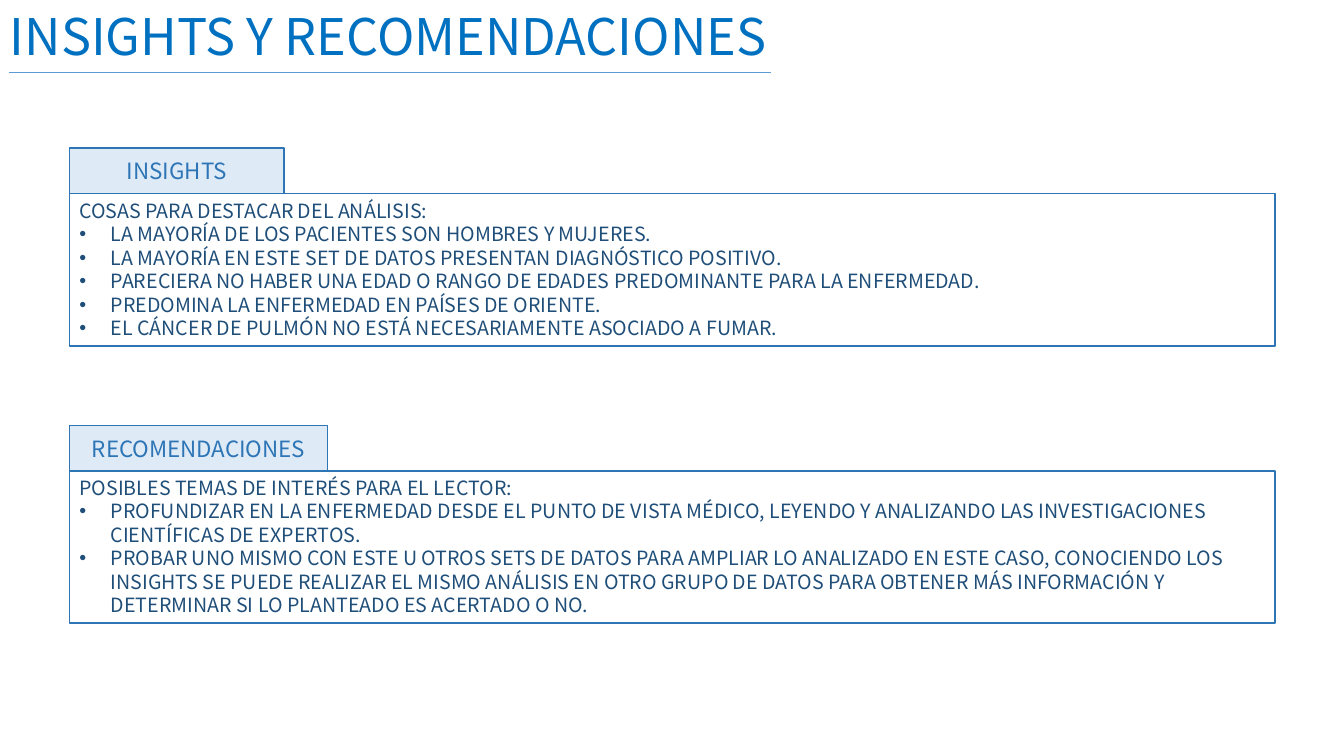
from dataclasses import dataclass

from lxml import etree
from pptx import Presentation
from pptx.dml.color import RGBColor
from pptx.enum.shapes import MSO_CONNECTOR, MSO_SHAPE
from pptx.enum.text import MSO_ANCHOR, MSO_AUTO_SIZE, PP_ALIGN
from pptx.oxml.ns import qn
from pptx.util import Emu, Pt

RECT = MSO_SHAPE.RECTANGLE
STRAIGHT = MSO_CONNECTOR.STRAIGHT
TOP, MIDDLE = MSO_ANCHOR.TOP, MSO_ANCHOR.MIDDLE
LEFT, CENTER = PP_ALIGN.LEFT, PP_ALIGN.CENTER
GROW, FIXED = MSO_AUTO_SIZE.SHAPE_TO_FIT_TEXT, MSO_AUTO_SIZE.NONE

PX_PER_INCH = 100
PANEL_X, PANEL_W, PANEL_H = 69, 1196, 151
TAB_H = 45
BULLET_INDENT = 31


@dataclass(frozen=True)
class Theme:
    font: str = "Noto Sans CJK JP"
    title: str = "0070C0"
    rule: str = "5B9BD5"
    border: str = "2E75B6"
    tab_fill: str = "DEEBF7"
    body: str = "1F4E79"
    title_size: int = 36
    tab_size: int = 16
    body_size: int = 14
    line_width: float = 1.25


THEME = Theme()

PANELS = [
    (147, 213, "INSIGHTS", "COSAS PARA DESTACAR DEL ANÁLISIS:", [
        "LA MAYORÍA DE LOS PACIENTES SON HOMBRES Y MUJERES.",
        "LA MAYORÍA EN ESTE SET DE DATOS PRESENTAN DIAGNÓSTICO POSITIVO.",
        "PARECIERA NO HABER UNA EDAD O RANGO DE EDADES PREDOMINANTE PARA LA ENFERMEDAD.",
        "PREDOMINA LA ENFERMEDAD EN PAÍSES DE ORIENTE.",
        "EL CÁNCER DE PULMÓN NO ESTÁ NECESARIAMENTE ASOCIADO A FUMAR.",
    ]),
    (422, 256, "RECOMENDACIONES", "POSIBLES TEMAS DE INTERÉS PARA EL LECTOR:", [
        "PROFUNDIZAR EN LA ENFERMEDAD DESDE EL PUNTO DE VISTA MÉDICO, LEYENDO Y "
        "ANALIZANDO LAS INVESTIGACIONES CIENTÍFICAS DE EXPERTOS.",
        "PROBAR UNO MISMO CON ESTE U OTROS SETS DE DATOS PARA AMPLIAR LO ANALIZADO "
        "EN ESTE CASO, CONOCIENDO LOS INSIGHTS SE PUEDE REALIZAR EL MISMO ANÁLISIS "
        "EN OTRO GRUPO DE DATOS PARA OBTENER MÁS INFORMACIÓN Y DETERMINAR SI LO "
        "PLANTEADO ES ACERTADO O NO.",
    ]),
]


def px(n):
    return Emu(n * 914400 // PX_PER_INCH)


def rgb(color):
    return RGBColor.from_string(color)


def add_bullet(p):
    pPr = p._p.get_or_add_pPr()
    pPr.set("marL", str(px(BULLET_INDENT)))
    pPr.set("indent", str(-px(BULLET_INDENT)))
    etree.SubElement(pPr, qn("a:buFont"), typeface="Arial")
    etree.SubElement(pPr, qn("a:buChar"), char="•")


def write_text(tf, text, *, size, color, align=LEFT, anchor=TOP, fit=FIXED, bullets=()):
    tf.word_wrap = True
    tf.auto_size = fit
    tf.vertical_anchor = anchor
    for i, line in enumerate([text, *bullets]):
        p = tf.add_paragraph() if i else tf.paragraphs[0]
        p.alignment = align
        if i:
            add_bullet(p)
        r = p.add_run()
        r.text = line
        r.font.name = THEME.font
        r.font.size = Pt(size)
        r.font.color.rgb = rgb(color)


def add_box(shapes, x, y, w, h, fill=None):
    sp = shapes.add_shape(RECT, px(x), px(y), px(w), px(h))
    sp.shadow.inherit = False
    if fill:
        sp.fill.solid()
        sp.fill.fore_color.rgb = rgb(fill)
    else:
        sp.fill.background()
    sp.line.color.rgb = rgb(THEME.border)
    sp.line.width = Pt(THEME.line_width)
    return sp


def add_title(s, text):
    sp = s.shapes.add_textbox(px(0), px(0), px(782), px(71))
    write_text(sp.text_frame, text, size=THEME.title_size, color=THEME.title, fit=GROW)


def add_rule(s, x1, x2, y):
    line = s.shapes.add_connector(STRAIGHT, px(x1), px(y), px(x2), px(y))
    line.line.color.rgb = rgb(THEME.rule)
    line.line.width = Pt(THEME.line_width)
    etree.SubElement(line._element.spPr, qn("a:effectLst"))


def add_panel(s, y, tab_w, heading, intro, bullets):
    group = s.shapes.add_group_shape()
    body = add_box(group.shapes, PANEL_X, y + TAB_H, PANEL_W, PANEL_H)
    write_text(body.text_frame, intro, size=THEME.body_size, color=THEME.body,
               fit=GROW, bullets=bullets)
    tab = add_box(group.shapes, PANEL_X, y, tab_w, TAB_H, THEME.tab_fill)
    write_text(tab.text_frame, heading, size=THEME.tab_size, color=THEME.border,
               align=CENTER, anchor=MIDDLE)


def main():
    prs = Presentation()
    prs.slide_width, prs.slide_height = px(1333), px(750)
    s = prs.slides.add_slide(prs.slide_layouts[6])
    add_title(s, "INSIGHTS Y RECOMENDACIONES")
    add_rule(s, 9, 765, 72)
    for panel in PANELS:
        add_panel(s, *panel)
    prs.save("out.pptx")


if __name__ == "__main__":
    main()
